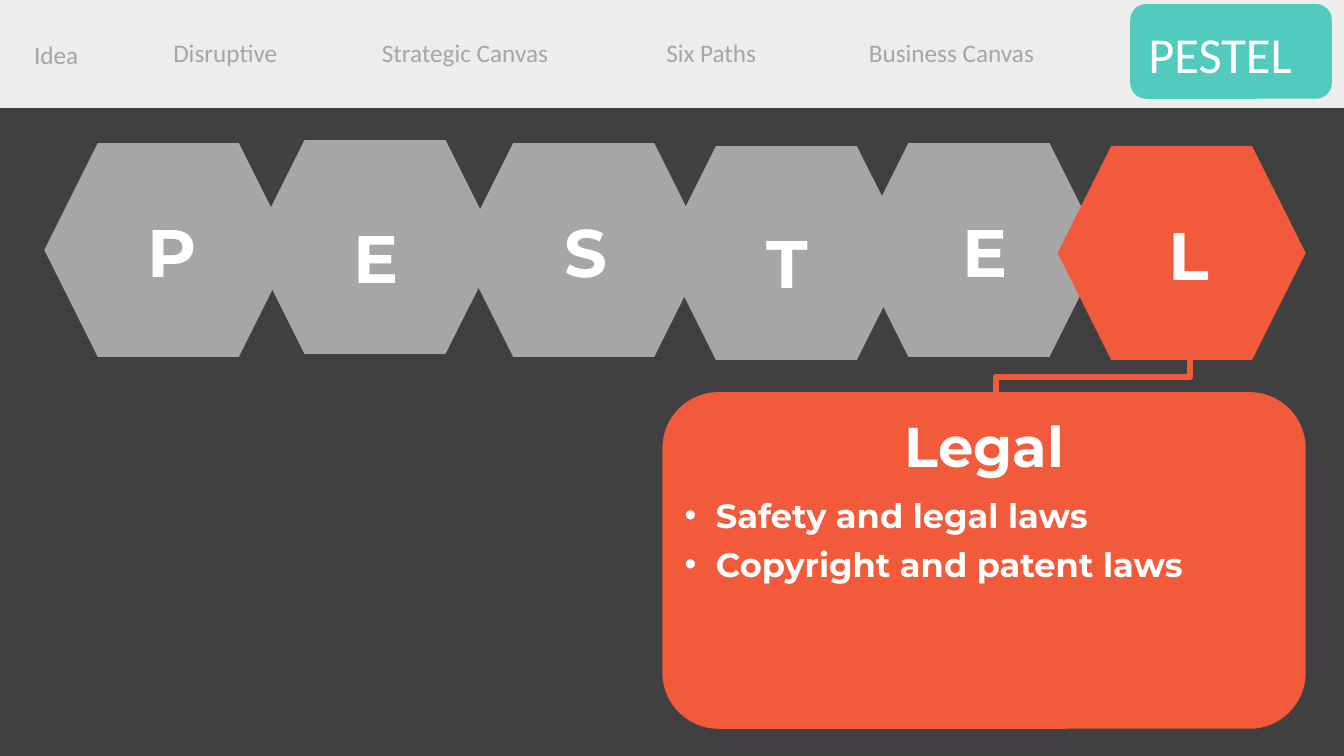
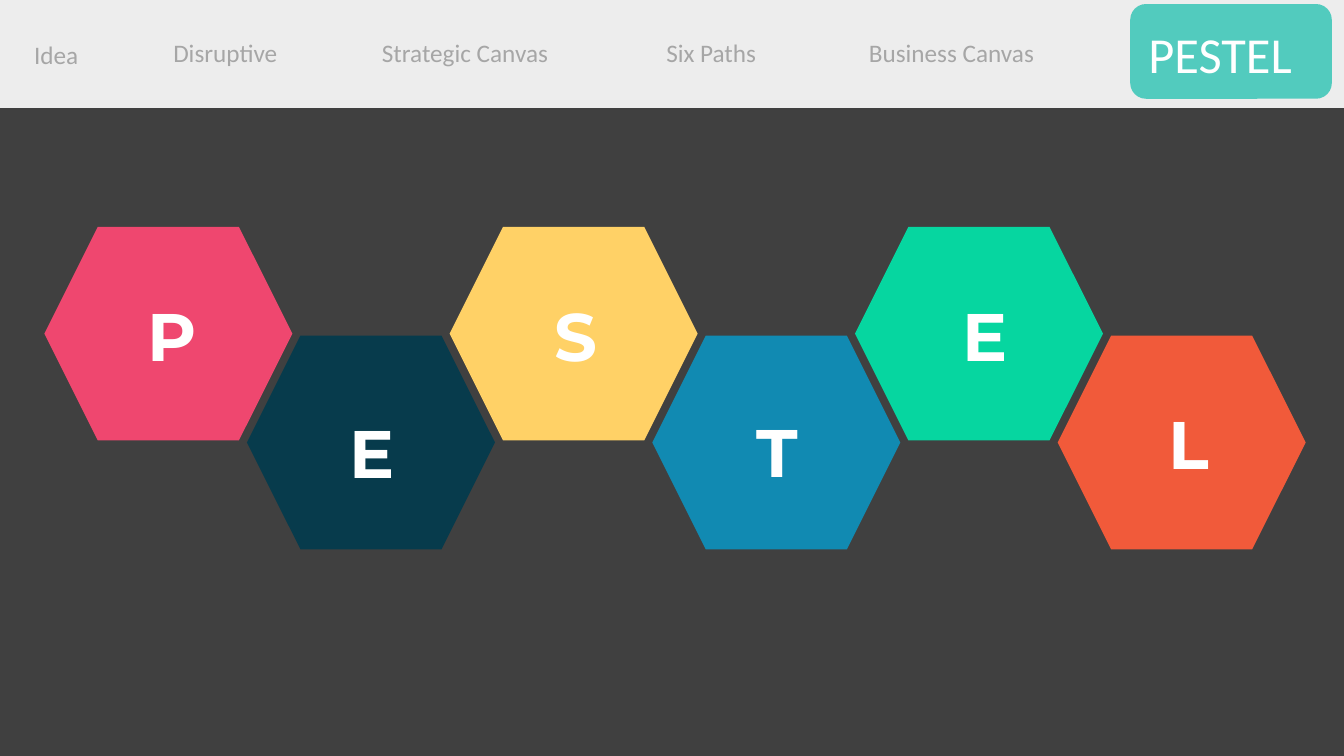
"""Build two PESTEL slides: the legal factor, and the overview."""
from lxml import etree
from pptx import Presentation
from pptx.dml.color import RGBColor
from pptx.enum.shapes import MSO_CONNECTOR, MSO_SHAPE
from pptx.enum.text import MSO_ANCHOR, MSO_AUTO_SIZE, PP_ALIGN
from pptx.oxml.ns import qn
from pptx.util import Inches, Pt

RECT, ROUND, HEX = MSO_SHAPE.RECTANGLE, MSO_SHAPE.ROUNDED_RECTANGLE, MSO_SHAPE.HEXAGON
ELBOW = MSO_CONNECTOR.ELBOW
LEFT, CENTER = PP_ALIGN.LEFT, PP_ALIGN.CENTER
MIDDLE, FIXED = MSO_ANCHOR.MIDDLE, MSO_AUTO_SIZE.NONE

COLORS = {
    "back": "404040", "band": "EDEDED", "tab": "52CBBE", "white": "FFFFFF",
    "gray": "A6A6A6", "pink": "EF476F", "navy": "073B4C", "gold": "FFD166",
    "blue": "118AB2", "green": "06D6A0", "orange": "F15A3A",
}
BODY, HEAD = "Calibri", "Montserrat"

TITLE = "PESTEL"
MENU = [
    ("Idea", 0.24, 0.34, 0.71),
    ("Disruptive", 1.62, 0.32, 1.49),
    ("Strategic Canvas", 3.69, 0.32, 2.2),
    ("Six Paths", 6.51, 0.32, 1.39),
    ("Business Canvas", 8.52, 0.32, 2.14),
]

LETTERS = [
    ("P", 0.75, 0.61), ("E", 0.72, 0.7), ("S", 0.73, 0.61),
    ("T", 0.72, 0.69), ("E", 0.77, 0.61), ("L", 0.78, 0.61),
]
HEX_W, HEX_H = 2.46, 2.12
START, STEP = 0.44, 2.01

LEGAL = "Legal"
LAWS = ["Safety and legal laws", "Copyright and patent laws"]
LEGAL_ROW = {
    "lefts": [0.44, 2.49, 4.56, 6.57, 8.48, 10.49],
    "tops": [1.42, 1.39, 1.42, 1.45, 1.42, 1.45],
    "fills": ["gray"] * 5 + ["orange"],
}
FULL_ROW = {
    "lefts": [START + STEP * i for i in range(6)],
    "tops": [2.25, 3.33] * 3,
    "fills": ["pink", "navy", "gold", "blue", "green", "orange"],
}


def color(name):
    return RGBColor.from_string(COLORS[name])


def place(shape, left, top, width, height):
    shape.left, shape.top = Inches(left), Inches(top)
    shape.width, shape.height = Inches(width), Inches(height)


def block(shapes, kind, box, fill):
    shape = shapes.add_shape(kind, *map(Inches, box))
    shape.shadow.inherit = False
    shape.fill.solid()
    shape.fill.fore_color.rgb = color(fill)
    shape.line.fill.background()


def write(shape, lines, size, face=HEAD, hue="white", align=CENTER):
    frame = shape.text_frame
    frame.word_wrap = True
    frame.auto_size = FIXED
    frame.vertical_anchor = MIDDLE
    for i, line in enumerate(lines):
        para = frame.add_paragraph() if i else frame.paragraphs[0]
        para.alignment = align
        run = para.add_run()
        run.text = line
        font = run.font
        font.name, font.size, font.bold = face, Pt(size), face == HEAD
        font.color.rgb = color(hue)


def label(shapes, text, box, size, **style):
    write(shapes.add_textbox(*map(Inches, box)), [text], size, **style)


def front(slide, shape):
    slide.shapes._spTree.append(shape._element)


def header(slide):
    shapes = slide.shapes
    block(shapes, RECT, (0, -0.02, 13.33, 1.09), "band")
    block(shapes, ROUND, (11.21, 0.04, 2, 0.94), "tab")
    for text, left, top, width in MENU:
        label(shapes, text, (left, top, width, 0.4), 18,
              face=BODY, hue="gray", align=LEFT)
    title = shapes.title
    place(title, 11.29, 0.17, 1.98, 0.71)
    write(title, [TITLE], 36, face=BODY, align=LEFT)
    front(slide, title)


def hexes(slide, row):
    cells = zip(LETTERS, row["lefts"], row["tops"], row["fills"])
    for (text, dx, dy), left, top, fill in cells:
        shapes = slide.shapes.add_group_shape().shapes
        block(shapes, HEX, (left, top, HEX_W, HEX_H), fill)
        label(shapes, text, (left + dx, top + dy, 1.04, 0.91), 48)


def elbow(slide, start, end):
    (x1, y1), (x2, y2) = start, end
    midx, midy = (x1 + x2) / 2, (y1 + y2) / 2
    halfw, halfh = abs(y2 - y1) / 2, abs(x2 - x1) / 2
    ends = midx + halfw, midy + halfh, midx - halfw, midy - halfh
    link = slide.shapes.add_connector(ELBOW, *map(Inches, ends))
    link.line.color.rgb = color("orange")
    link.line.width = Pt(4.5)
    props = link._element.spPr
    props.find(qn("a:xfrm")).set("rot", "5400000")
    etree.SubElement(props, qn("a:effectLst"))


def bullets(slide, lines):
    body = slide.placeholders[1]
    place(body, 6.69, 4.86, 6.26, 0.99)
    write(body, lines, 24, align=LEFT)
    for para in body.text_frame.paragraphs:
        para.space_before, para.space_after = Pt(0), Pt(6)
        props = para._p.get_or_add_pPr()
        props.set("marL", str(Inches(0.31)))
        props.set("indent", str(-Inches(0.31)))
        etree.SubElement(props, qn("a:buFont")).set("typeface", "Arial")
        etree.SubElement(props, qn("a:buChar")).set("char", "•")
    front(slide, body)


def legal(deck):
    slide = deck.slides.add_slide(deck.slide_layouts[1])
    header(slide)
    elbow(slide, (9.88, 5.13), (11.8, 2.35))
    hexes(slide, LEGAL_ROW)
    block(slide.shapes, ROUND, (6.57, 3.89, 6.38, 3.34), "orange")
    label(slide.shapes, LEGAL, (7.54, 4.03, 4.45, 0.77), 40)
    bullets(slide, LAWS)


def full(deck):
    slide = deck.slides.add_slide(deck.slide_layouts[5])
    header(slide)
    hexes(slide, FULL_ROW)


def main():
    deck = Presentation()
    deck.slide_width, deck.slide_height = Inches(13.33), Inches(7.5)
    back = deck.slide_master.background.fill
    back.solid()
    back.fore_color.rgb = color("back")
    legal(deck)
    full(deck)
    deck.save("out.pptx")


if __name__ == "__main__":
    main()
